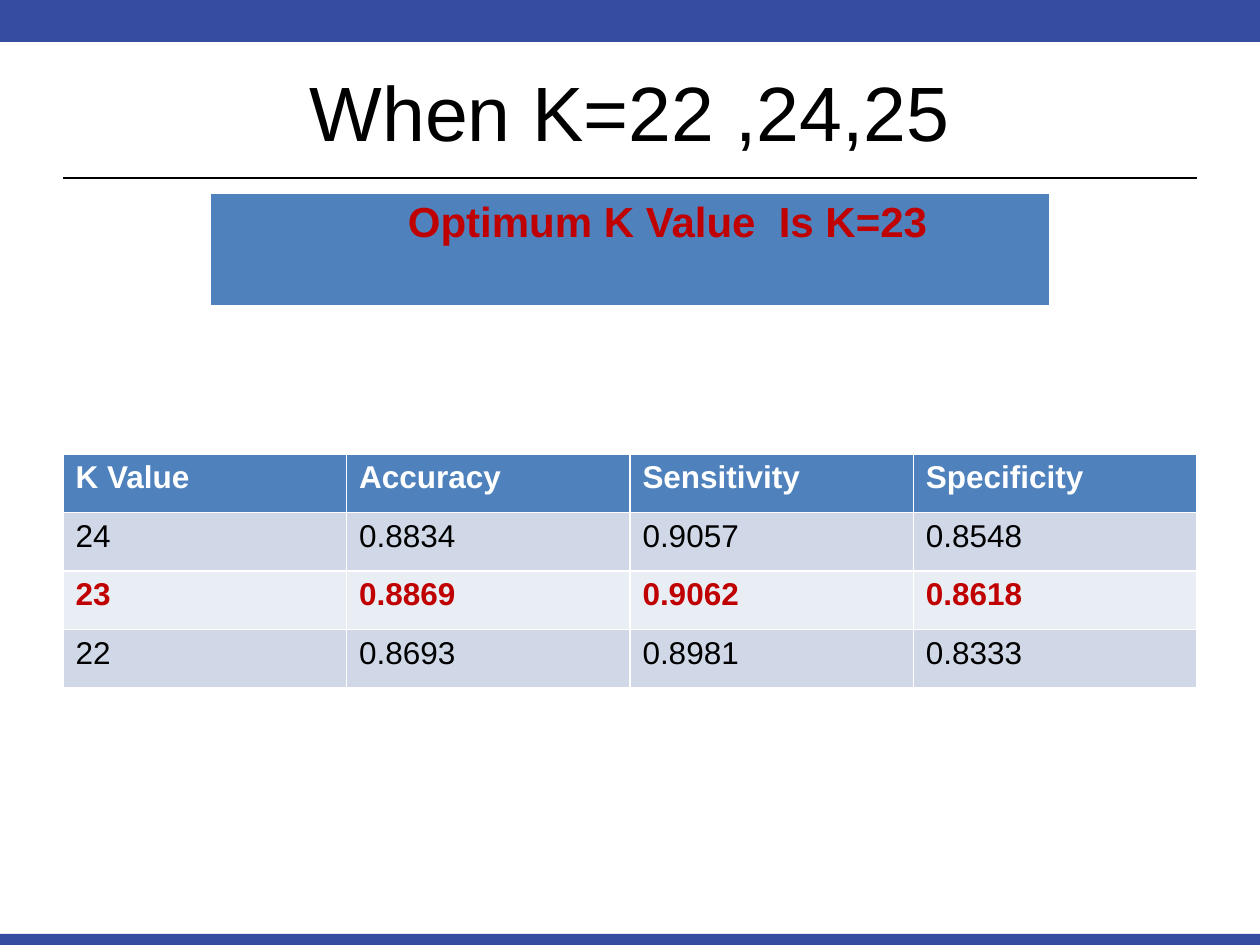
"""Build the slide comparing K values, with K=23 as the optimum."""
from pptx import Presentation
from pptx.dml.color import RGBColor
from pptx.enum.shapes import MSO_CONNECTOR, MSO_SHAPE
from pptx.enum.text import MSO_ANCHOR, PP_ALIGN
from pptx.oxml.ns import qn
from pptx.util import Pt
from lxml import etree

PX = 914400 // 126
RECT, STRAIGHT = MSO_SHAPE.RECTANGLE, MSO_CONNECTOR.STRAIGHT
MIDDLE, LEFT, CENTER = MSO_ANCHOR.MIDDLE, PP_ALIGN.LEFT, PP_ALIGN.CENTER
COLORS = {"bar": "354CA1", "header": "4F81BD", "odd": "D0D8E8", "even": "E9EDF4",
          "black": "000000", "white": "FFFFFF", "red": "C00000"}
RGB = {name: RGBColor.from_string(value) for name, value in COLORS.items()}


def write(tf, text, size=18, color="black", bold=False, align=LEFT):
    p = tf.paragraphs[0]
    p.alignment = align
    r = p.add_run()
    r.text = text
    r.font.name = "Arial"
    r.font.size = Pt(size)
    r.font.bold = bold
    r.font.color.rgb = RGB[color]


def add_grid(rows, styles, x, y, w, h):
    table = s.shapes.add_table(len(rows), len(rows[0]), x * PX, y * PX, w * PX, h * PX).table
    for i, (values, (fill, color, bold)) in enumerate(zip(rows, styles)):
        for j, value in enumerate(values):
            cell = table.cell(i, j)
            cell.fill.solid()
            cell.fill.fore_color.rgb = RGB[fill]
            size = 24 if len(rows) == 1 else 18
            write(cell.text_frame, value, size=size, color=color, bold=bold)
    return table


prs = Presentation()
prs.slide_width, prs.slide_height = 1260 * PX, 945 * PX
s = prs.slides.add_slide(prs.slide_layouts[6])

for top, height in ((934, 11), (0, 42)):
    sp = s.shapes.add_shape(RECT, 0, top * PX, 1260 * PX, height * PX)
    sp.shadow.inherit = False
    sp.fill.solid()
    sp.fill.fore_color.rgb = RGB["bar"]
    sp.line.fill.background()

rule = s.shapes.add_connector(STRAIGHT, 63 * PX, 178 * PX, 1197 * PX, 178 * PX)
rule.line.color.rgb = RGB["black"]
rule.line.width = Pt(1.25)
etree.SubElement(rule.element.spPr, qn("a:effectLst"))

title = s.shapes.add_textbox(63 * PX, 32 * PX, 1134 * PX, 157 * PX)
tf = title.text_frame
tf.word_wrap = True
tf.vertical_anchor = MIDDLE
write(tf, "When K=22 ,24,25", size=44, align=CENTER)

results = [
    ("K Value", "Accuracy", "Sensitivity", "Specificity"),
    ("24", "0.8834", "0.9057", "0.8548"),
    ("23", "0.8869", "0.9062", "0.8618"),
    ("22", "0.8693", "0.8981", "0.8333"),
]
row_styles = [("header", "white", True), ("odd", "black", False),
              ("even", "red", True), ("odd", "black", False)]
add_grid(results, row_styles, 63, 454, 1134, 234)

banner = add_grid([("Optimum K Value  Is K=23",)], [("header", "red", True)], 210, 193, 840, 113)
banner.cell(0, 0).margin_left = 198 * PX

prs.save("out.pptx")
